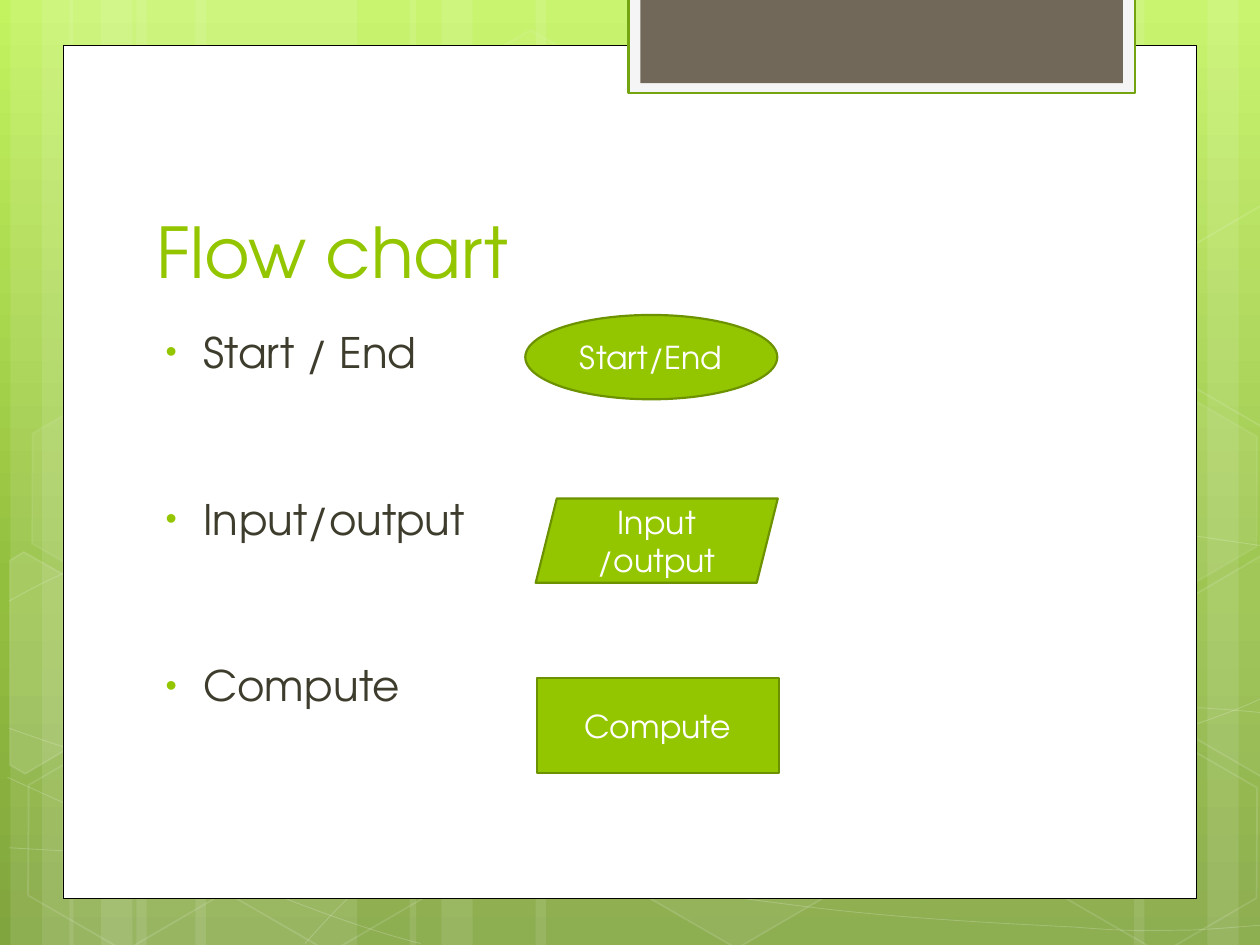
from copy import deepcopy

from lxml.etree import SubElement
from pptx import Presentation
from pptx.dml.color import RGBColor
from pptx.enum.shapes import MSO_SHAPE
from pptx.enum.text import MSO_ANCHOR, PP_ALIGN
from pptx.oxml.ns import qn
from pptx.util import Cm, Pt

FONT = "TeX Gyre Adventor"
GREEN, DARK_GREEN, WHITE = "94C600", "6D9200", "FFFFFF"
W, H = 25.4, 19.05

# Each curve is a start point followed by cubic segments of three points.
CURVES = [
    [(0.18, 17.09), (1.55, 17.17), (2.92, 17.25), (4.83, 17.22),
     (6.73, 17.2), (9.09, 17.15), (11.63, 16.89),
     (14.17, 16.64), (17.78, 16.15), (20.12, 15.67),
     (22.43, 15.19), (24.82, 14.43), (25.58, 14)],
    [(0.18, 12.12), (0.91, 11.71), (1.65, 11.33), (3.07, 10.95),
     (4.52, 10.57), (6.58, 10.01), (8.81, 9.83),
     (11.07, 9.65), (13.82, 9.63), (16.61, 9.83),
     (19.41, 10.03), (24.05, 10.82), (25.58, 11.02)],
    [(0.15, 15.67), (3.23, 17.07), (6.27, 18.47), (8.48, 19.02)],
    [(0.18, 14.68), (0.97, 14.96), (1.78, 15.24), (3.25, 15.65),
     (4.72, 16.03), (6.93, 16.66), (9.07, 17.09),
     (11.18, 17.53), (13.84, 17.98), (15.95, 18.24),
     (18.06, 18.52), (20.32, 18.62), (21.67, 18.69),
     (22.99, 18.8), (23.34, 18.75), (24, 18.75),
     (24.66, 18.72), (25.12, 18.67), (25.58, 18.64)],
    [(6.15, 19.02), (6.6, 18.52), (7.06, 18.01), (7.67, 17.55),
     (8.28, 17.09), (9.14, 16.59), (9.86, 16.23),
     (10.57, 15.88), (11, 15.72), (11.94, 15.47),
     (12.85, 15.21), (14.55, 14.86), (15.44, 14.68),
     (16.36, 14.5), (16.48, 14.5), (17.27, 14.45),
     (18.06, 14.38), (19.3, 14.3), (20.17, 14.27),
     (21.06, 14.25), (22.5, 14.27), (22.5, 14.27),
     (23.07, 14.27), (23.64, 14.27), (24.21, 14.27),
     (24.66, 14.3), (25.1, 14.33), (25.55, 14.38)],
]
# Left, top, fill opacity (None for outline only), line opacity.
HEXAGONS = [
    (8.48, 0.91, 4, 8), (12.62, 14.96, 6, 12), (0.28, 15.01, None, 12),
    (0.36, 7.92, 7, 8), (4.42, 15.04, None, 12), (19.13, 11.51, 10, 12),
    (21.18, 15.06, None, 12), (21.18, 7.98, 7, 8),
]
# Hexagons cut off by the slide edge: points, fill opacity.
CUT_HEXAGONS = [
    ([(0.2, 11.3), (0.48, 11.13), (2.44, 12.24), (2.41, 14.48),
      (0.51, 15.6), (0.2, 15.42)], 10),
    ([(23.52, 12.32), (25.43, 11.2), (25.63, 11.33), (25.63, 15.57),
      (25.45, 15.67), (23.52, 14.55)], 4),
    ([(23.52, 5.26), (25.43, 4.14), (25.65, 4.27), (25.63, 8.51),
      (25.45, 8.61), (23.52, 7.49)], None),
]


def rgb(value):
    return RGBColor.from_string(value)


def set_solid(fill, color, opacity=100):
    fill.solid()
    fill.fore_color.rgb = rgb(color)
    if opacity < 100:
        clr = fill._xPr.find(".//" + qn("a:srgbClr"))
        SubElement(clr, qn("a:alpha")).set("val", str(opacity * 1000))


def style(sp, fill=None, fill_opacity=100, line=None, width=1, line_opacity=100):
    sp.shadow.inherit = False
    if fill:
        set_solid(sp.fill, fill, fill_opacity)
    else:
        sp.fill.background()
    if line:
        sp.line.width = Pt(width)
        set_solid(sp.line.fill, line, line_opacity)
    else:
        sp.line.fill.background()


def add_box(s, kind, box, **look):
    sp = s.shapes.add_shape(kind, *map(Cm, box))
    style(sp, **look)
    return sp


def add_outline(s, points, closed, **look):
    points = [(Cm(x), Cm(y)) for x, y in points]
    builder = s.shapes.build_freeform(*points[0])
    builder.add_line_segments(points[1:], close=closed)
    sp = builder.convert_to_shape()
    style(sp, **look)
    return sp


def bend(sp):
    """Turn every three straight segments into one cubic segment."""
    segments = list(sp._element.iter(qn("a:lnTo")))
    for first, second, third in zip(*[iter(segments)] * 3):
        first.tag = qn("a:cubicBezTo")
        for segment in (second, third):
            first.append(segment[0])
            segment.getparent().remove(segment)


def write(p, text, size=18, color=WHITE, align=None, before=0):
    p.alignment = align
    p.space_before = Pt(before)
    r = p.add_run()
    r.text = text
    r.font.name = FONT
    r.font.size = Pt(size)
    r.font.color.rgb = rgb(color)


def add_bullet(p):
    pPr = p._p.get_or_add_pPr()
    pPr.set("marL", str(Cm(0.95)))
    pPr.set("indent", str(-Cm(0.76)))
    clr = SubElement(pPr, qn("a:buClr"))
    SubElement(clr, qn("a:srgbClr")).set("val", GREEN)
    SubElement(pPr, qn("a:buSzPct")).set("val", "76000")
    SubElement(pPr, qn("a:buFont")).set("typeface", "Arial")
    SubElement(pPr, qn("a:buChar")).set("char", "•")


def gradient_background(s):
    fill = s.background.fill
    fill.gradient()
    fill.gradient_angle = 270
    gs_list = s.element.find(".//" + qn("a:gsLst"))
    gs_list.append(deepcopy(gs_list[-1]))
    stops = [(0, "C3F35F"), (0.62, "93BF3F"), (1, "81A53E")]
    for stop, (position, color) in zip(fill.gradient_stops, stops):
        stop.position = position
        stop.color.rgb = rgb(color)


def light_bands(s, edge, wide=4.45, mirrored=False):
    """Three overlapping stripes running inward from the edge."""
    for offset, width in ((2.54, wide), (0, 1.27), (0.64, 2.11)):
        x = edge - offset - width if mirrored else edge + offset
        add_box(s, MSO_SHAPE.RECTANGLE, (x, 0, width, H), fill=WHITE, fill_opacity=10)


def backdrop(s):
    gradient_background(s)
    light_bands(s, 0.21)
    light_bands(s, 1.4)
    light_bands(s, 25.61, mirrored=True)
    light_bands(s, 8.26, wide=7.82)
    for curve in CURVES:
        bend(add_outline(s, curve, False, line=WHITE, width=0.5, line_opacity=20))
    for x, y, fill_opacity, line_opacity in HEXAGONS:
        sp = add_box(s, MSO_SHAPE.HEXAGON, (x, y, 4.45, 3.86),
                     fill=WHITE if fill_opacity else None, fill_opacity=fill_opacity,
                     line=WHITE, line_opacity=line_opacity)
        sp.rotation = 30
        sp.adjustments[0], sp.adjustments[1] = 0.285, 1.155
    for points, opacity in CUT_HEXAGONS:
        add_outline(s, points, True, fill=WHITE if opacity else None,
                    fill_opacity=opacity, line=WHITE, line_opacity=12)


def panel(s, x, y, w, h):
    add_box(s, MSO_SHAPE.RECTANGLE, (x, y, w, h), fill=WHITE, line="000000", width=0.5)
    tab_x, tab_y, tab_w, border = x + 11.4, y - 0.96, 10.21, 0.24
    add_box(s, MSO_SHAPE.RECTANGLE, (tab_x, tab_y, tab_w, 1.93),
            fill="F5F5F5", line="74A510", width=1.25)
    add_box(s, MSO_SHAPE.RECTANGLE, (tab_x + border, tab_y, tab_w - 2 * border, 1.73),
            fill="71685A")


def text_column(s, x, y, w, title, items):
    tf = s.shapes.add_textbox(Cm(x), Cm(y), Cm(w), Cm(3.18)).text_frame
    tf.word_wrap = True
    tf.vertical_anchor = MSO_ANCHOR.BOTTOM
    write(tf.paragraphs[0], title, size=40, color=GREEN)

    tf = s.shapes.add_textbox(Cm(x), Cm(y + 3.61), Cm(w - 0.69), Cm(9.75)).text_frame
    tf.word_wrap = True
    for i, item in enumerate(items):
        p = tf.add_paragraph() if i else tf.paragraphs[0]
        write(p, item, size=24, color="3E3D2D", before=66.6 if i else 0)
        add_bullet(p)


def flow_symbols(s, x, y):
    symbols = [
        (MSO_SHAPE.OVAL, "Start/End", (0, 0, 5.08, 1.7)),
        (MSO_SHAPE.RECTANGLE, "Compute", (0.23, 7.32, 4.88, 1.91)),
        (MSO_SHAPE.PARALLELOGRAM, "Input /output", (0.21, 3.7, 4.88, 1.7)),
    ]
    for kind, text, (dx, dy, w, h) in symbols:
        sp = add_box(s, kind, (x + dx, y + dy, w, h), fill=GREEN, line=DARK_GREEN, width=1.25)
        tf = sp.text_frame
        tf.word_wrap = True
        tf.vertical_anchor = MSO_ANCHOR.MIDDLE
        write(tf.paragraphs[0], text, align=PP_ALIGN.CENTER)


def main():
    prs = Presentation()
    prs.slide_width, prs.slide_height = Cm(W), Cm(H)
    s = prs.slides.add_slide(prs.slide_layouts[6])
    backdrop(s)
    panel(s, 1.27, 0.91, 22.86, 17.2)
    text_column(s, 2.9, 2.84, 19.51, "Flow chart", ["Start / End", "Input/output", "Compute"])
    flow_symbols(s, 10.59, 6.35)
    prs.save("out.pptx")


if __name__ == "__main__":
    main()
